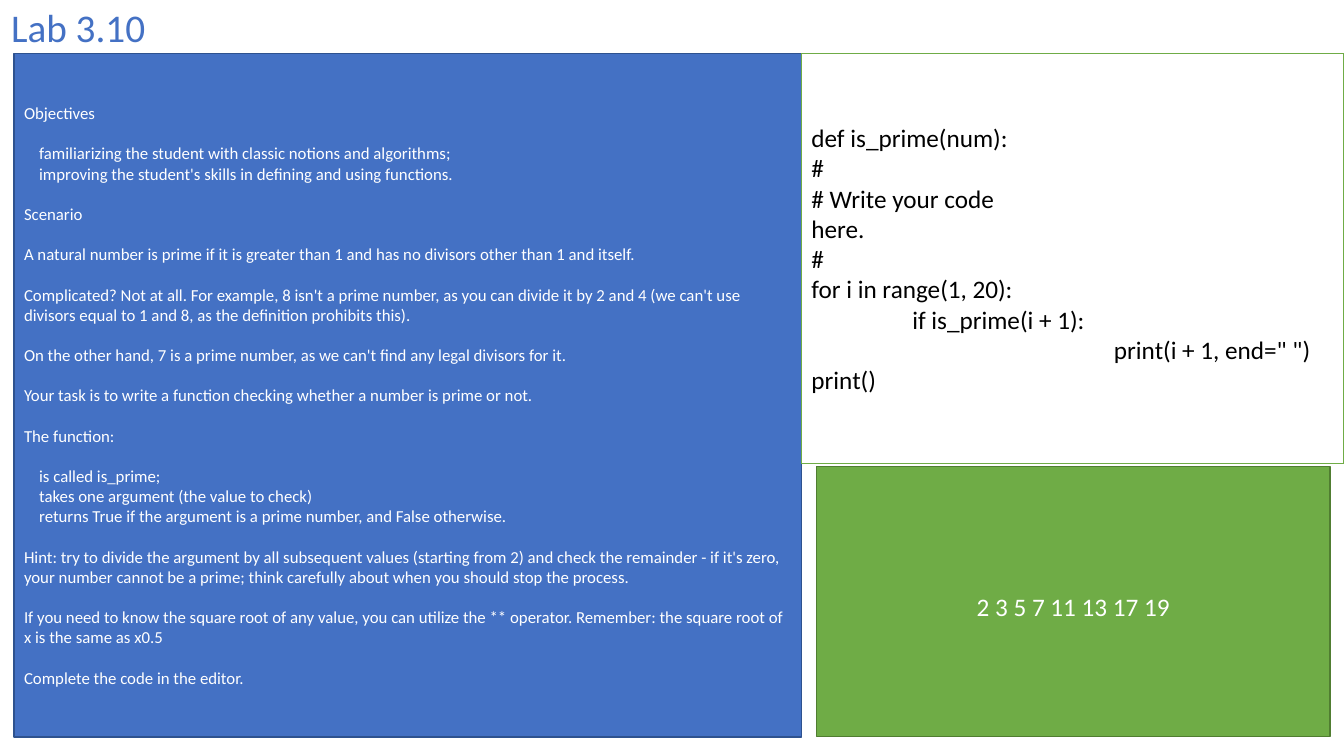
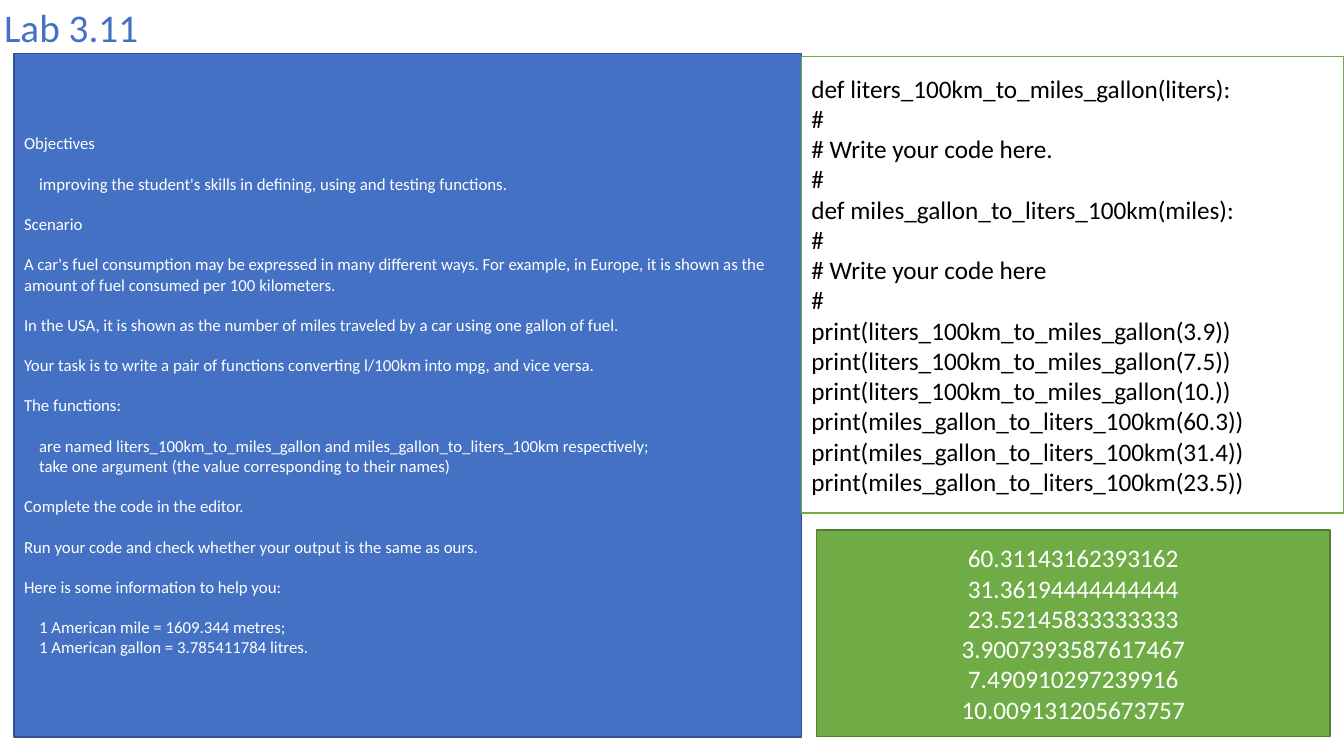
from dataclasses import dataclass
from typing import Optional

from pptx import Presentation
from pptx.dml.color import RGBColor
from pptx.enum.shapes import MSO_SHAPE
from pptx.enum.text import MSO_ANCHOR, PP_ALIGN
from pptx.util import Inches, Pt


@dataclass(frozen=True)
class Style:
    """Colours and type of one kind of region."""
    ink: str
    size: int
    fill: Optional[str] = None
    line: Optional[str] = None
    align: PP_ALIGN = PP_ALIGN.LEFT
    block_gap: float = 0


@dataclass(frozen=True)
class Theme:
    """Everything the pages share."""
    font: str = "Calibri"
    leading: float = 1.2
    inset: float = 0.1
    right_inset: float = 0.14
    margin: float = 1.05
    title_top: float = 0.4
    panel_top: float = 7.07
    panel_bottom: float = 97.47
    split: float = 59.64
    output_left: float = 60.77
    title: Style = Style(ink="4471C4", size=28)
    task: Style = Style(ink="FFFFFF", size=12, fill="4471C4", line="2E528F", block_gap=14.4)
    code: Style = Style(ink="000000", size=18, line="6FAC46")
    output: Style = Style(ink="FFFFFF", size=18, fill="6FAC46", line="507D31",
                          align=PP_ALIGN.CENTER)


THEME = Theme()


@dataclass(frozen=True)
class Box:
    """A rectangle on the slide."""
    left: int
    top: int
    width: int
    height: int

    def inner(self, left, top, right, bottom):
        """Return the inner box between four edges given in percent."""
        return Box(
            int(self.left + self.width * left / 100),
            int(self.top + self.height * top / 100),
            int(self.width * (right - left) / 100),
            int(self.height * (bottom - top) / 100),
        )

    def edges(self):
        """Return the four lengths in the order that shapes take them."""
        return self.left, self.top, self.width, self.height


@dataclass(frozen=True)
class Block:
    """Paragraphs that stand together at one indent in inches."""
    lines: tuple
    indent: float = 0


@dataclass(frozen=True)
class Lab:
    """Content of one page and the edges that differ between pages."""
    title: str
    title_left: float
    code_top: float
    code_bottom: float
    output_top: float
    output_drop: float
    task: tuple
    code: tuple
    output: tuple


def block(*lines, indent=0):
    """Make a block from its lines."""
    return Block(lines, indent)


def item(*lines):
    """Make an indented block for the task panel."""
    return Block(lines, 0.15)


def colour(fmt, value):
    """Fill a format with a solid colour, or leave it empty."""
    if value:
        fmt.solid()
        fmt.fore_color.rgb = RGBColor.from_string(value)
    else:
        fmt.background()


def write(frame, blocks, style):
    """Write blocks as paragraphs in the given style."""
    rows = [(line, group.indent, position == 0)
            for group in blocks for position, line in enumerate(group.lines)]
    for number, (line, indent, starts_block) in enumerate(rows):
        para = frame.add_paragraph() if number else frame.paragraphs[0]
        para.text = line
        para.alignment = style.align
        para.line_spacing = Pt(style.size * THEME.leading)
        para.space_before = Pt(style.block_gap if number and starts_block else 0)
        para._p.get_or_add_pPr().set("marL", str(Inches(indent)))
        for span in para.runs:
            span.font.name = THEME.font
            span.font.size = Pt(style.size)
            span.font.color.rgb = RGBColor.from_string(style.ink)


def add_title(page, box, text):
    """Place the page title flush with its box."""
    frame = page.shapes.add_textbox(*box.edges()).text_frame
    frame.word_wrap = True
    frame.margin_left = frame.margin_right = frame.margin_top = frame.margin_bottom = 0
    write(frame, [block(text)], THEME.title)


def add_panel(page, box, blocks, style, drop=0):
    """Place a rectangle with vertically centred text."""
    panel = page.shapes.add_shape(MSO_SHAPE.RECTANGLE, *box.edges())
    panel.shadow.inherit = False
    colour(panel.fill, style.fill)
    colour(panel.line.fill, style.line)
    panel.line.width = Pt(1)
    frame = panel.text_frame
    frame.word_wrap = True
    frame.vertical_anchor = MSO_ANCHOR.MIDDLE
    frame.margin_left = Inches(THEME.inset)
    centred = style.align == PP_ALIGN.CENTER
    frame.margin_right = Inches(THEME.inset if centred else THEME.right_inset)
    frame.margin_top = Inches(drop)
    frame.margin_bottom = 0
    write(frame, blocks, style)


def add_lab(page, box, lab):
    """Lay out the title, task, code and output of one lab."""
    theme = THEME
    add_title(page, box.inner(lab.title_left, theme.title_top, theme.split, theme.panel_top),
              lab.title)
    add_panel(page, box.inner(theme.margin, theme.panel_top, theme.split, theme.panel_bottom),
              lab.task, theme.task)
    add_panel(page, box.inner(theme.split, lab.code_top, 100, lab.code_bottom),
              lab.code, theme.code)
    add_panel(page, box.inner(theme.output_left, lab.output_top,
                              100 - theme.margin, theme.panel_bottom),
              lab.output, theme.output, lab.output_drop)


PRIME_LAB = Lab(
    title="Lab 3.10",
    title_left=0.83,
    code_top=7.07,
    code_bottom=61.33,
    output_top=61.73,
    output_drop=0.1,
    task=(
        block("Objectives"),
        item("familiarizing the student with classic notions and algorithms;",
             "improving the student's skills in defining and using functions."),
        block("Scenario"),
        block("A natural number is prime if it is greater than 1 and has no divisors "
              "other than 1 and itself."),
        block("Complicated? Not at all. For example, 8 isn't a prime number, as you can "
              "divide it by 2 and 4 (we can't use divisors equal to 1 and 8, as the "
              "definition prohibits this)."),
        block("On the other hand, 7 is a prime number, as we can't find any legal "
              "divisors for it."),
        block("Your task is to write a function checking whether a number is prime or not."),
        block("The function:"),
        item("is called is_prime;",
             "takes one argument (the value to check)",
             "returns True if the argument is a prime number, and False otherwise."),
        block("Hint: try to divide the argument by all subsequent values (starting from 2) "
              "and check the remainder - if it's zero, your number cannot be a prime; "
              "think carefully about when you should stop the process."),
        block("If you need to know the square root of any value, you can utilize the ** "
              "operator. Remember: the square root of x is the same as x0.5"),
        block("Complete the code in the editor."),
    ),
    code=(
        block("def is_prime(num):", "#", "# Write your code\vhere.", "#",
              "for i in range(1, 20):"),
        block("if is_prime(i + 1):", indent=1),
        block('print(i + 1, end=" ")', indent=3),
        block("print()"),
    ),
    output=(block("2 3 5 7 11 13 17 19"),),
)

FUEL_LAB = Lab(
    title="Lab 3.11",
    title_left=0.3,
    code_top=7.47,
    code_bottom=67.87,
    output_top=70.13,
    output_drop=0,
    task=(
        block("Objectives"),
        item("improving the student's skills in defining, using and testing functions."),
        block("Scenario"),
        block("A car's fuel consumption may be expressed in many different ways. For "
              "example, in Europe, it is shown as the amount of fuel consumed per 100 "
              "kilometers."),
        block("In the USA, it is shown as the number of miles traveled by a car using "
              "one gallon of fuel."),
        block("Your task is to write a pair of functions converting l/100km into mpg, "
              "and vice versa."),
        block("The functions:"),
        item("are named liters_100km_to_miles_gallon and miles_gallon_to_liters_100km "
             "respectively;",
             "take one argument (the value corresponding to their names)"),
        block("Complete the code in the editor."),
        block("Run your code and check whether your output is the same as ours."),
        block("Here is some information to help you:"),
        item("1 American mile = 1609.344 metres;",
             "1 American gallon = 3.785411784 litres."),
    ),
    code=(
        block("def liters_100km_to_miles_gallon(liters):", "#",
              "# Write your code here.", "#",
              "def miles_gallon_to_liters_100km(miles):", "#",
              "# Write your code here", "#"),
        block(*(f"print(liters_100km_to_miles_gallon({value}))"
                for value in ("3.9", "7.5", "10."))),
        block(*(f"print(miles_gallon_to_liters_100km({value}))"
                for value in ("60.3", "31.4", "23.5"))),
    ),
    output=(
        block("60.31143162393162", "31.36194444444444", "23.52145833333333",
              "3.9007393587617467", "7.490910297239916", "10.009131205673757"),
    ),
)


def main():
    """Build the deck and save it."""
    deck = Presentation()
    deck.slide_width = Inches(13.33)
    deck.slide_height = Inches(7.5)
    slide_box = Box(0, 0, deck.slide_width, deck.slide_height)
    for lab in (PRIME_LAB, FUEL_LAB):
        add_lab(deck.slides.add_slide(deck.slide_layouts[6]), slide_box, lab)
    deck.save("out.pptx")


if __name__ == "__main__":
    main()
